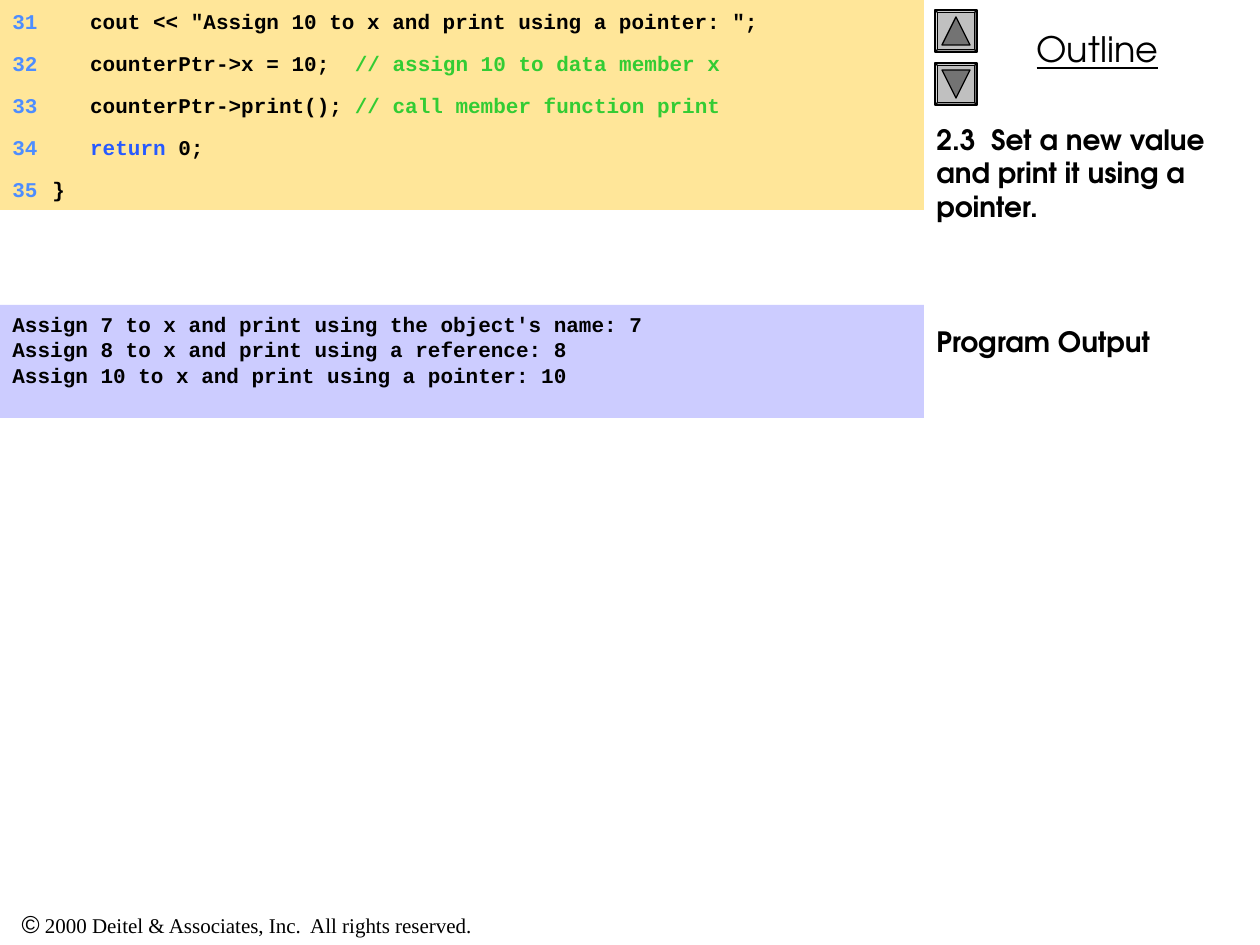
"""Build a code walkthrough slide with its program output."""
from dataclasses import dataclass
from lxml.etree import SubElement
from pptx import Presentation
from pptx.dml.color import RGBColor
from pptx.enum.shapes import MSO_SHAPE
from pptx.enum.text import MSO_ANCHOR, PP_ALIGN
from pptx.oxml.ns import qn
from pptx.util import Emu, Pt


@dataclass(frozen=True)
class Theme:
    black: str = "000000"
    number: str = "4D8DFF"
    key: str = "275AFF"
    note: str = "33CC33"
    cream: str = "FFE699"
    lilac: str = "CCCCFF"
    silver: str = "C0C0C0"
    gray: str = "737373"
    mono: str = "Courier New"
    sans: str = "TeX Gyre Adventor"
    serif: str = "Times New Roman"
    plain: str = "Arial"
    small: int = 12
    sign: int = 14
    body: int = 16
    large: int = 20


def px(count):
    return Emu(round(count * 914400 / 126))


class Deck:
    def __init__(self, theme):
        self.theme = theme
        self.file = Presentation()
        self.file.slide_width, self.file.slide_height = px(1260), px(945)
        self.slide = self.file.slides.add_slide(self.file.slide_layouts[6])

    def style(self, run, face, size, color=None, bold=False, under=False):
        font = run.font
        font.name, font.size, font.bold = face, Pt(size), bold
        font.underline = under
        font.color.rgb = RGBColor.from_string(color or self.theme.black)

    def text(self, box):
        frame = self.slide.shapes.add_textbox(*map(px, box)).text_frame
        frame.word_wrap = True
        return frame

    def shape(self, kind, box, fill, line=None):
        shape = self.slide.shapes.add_shape(kind, *map(px, box))
        shape.shadow.inherit = False
        shape.fill.solid()
        shape.fill.fore_color.rgb = RGBColor.from_string(fill)
        if line:
            shape.line.color.rgb = RGBColor.from_string(line)
            shape.line.width = Pt(0.75)
        else:
            shape.line.fill.background()
        return shape

    def panel(self, box, fill, anchor):
        frame = self.shape(MSO_SHAPE.RECTANGLE, box, fill).text_frame
        frame.word_wrap = True
        frame.vertical_anchor = anchor
        return frame

    def code(self, top, number, parts):
        frame = self.panel((0, top, 924, 42), self.theme.cream, MSO_ANCHOR.MIDDLE)
        line = frame.paragraphs[0]
        line.alignment = PP_ALIGN.LEFT
        tabs = SubElement(line._p.get_or_add_pPr(), qn("a:tabLst"))
        for place, side in ((19, "r"), (40, "l")):
            SubElement(tabs, qn("a:tab"), pos=str(px(place)), algn=side)
        for words, color in [(f"\t{number}\t", self.theme.number), *parts]:
            run = line.add_run()
            run.text = words
            self.style(run, self.theme.mono, self.theme.small, color, True)

    def output(self, box, lines):
        frame = self.panel(box, self.theme.lilac, MSO_ANCHOR.TOP)
        frame.text = "\n".join(lines)
        for line in frame.paragraphs:
            line.alignment = PP_ALIGN.LEFT
            line.line_spacing = Pt(14.5)
            self.style(line.runs[0], self.theme.mono, self.theme.small, bold=True)

    def button(self, left, top, turn):
        theme = self.theme
        bevel = self.shape(MSO_SHAPE.BEVEL, (left, top, 42, 42), theme.silver, theme.black)
        bevel.adjustments[0] = 0.06
        arrow = self.shape(MSO_SHAPE.ISOSCELES_TRIANGLE,
                           (left + 7, top + 7, 28, 28), theme.gray, theme.black)
        arrow.rotation = turn

    def outline(self, box):
        line = self.text(box).paragraphs[0]
        line.text = "Outline"
        line.alignment = PP_ALIGN.CENTER
        self.style(line.runs[0], self.theme.sans, self.theme.large, under=True)

    def topics(self, box, names, gap):
        frame = self.text(box)
        frame.text = "\n".join(names)
        for line in frame.paragraphs:
            self.style(line.runs[0], self.theme.sans, self.theme.body, bold=True)
        for line in frame.paragraphs[1:]:
            line.space_before = Pt(gap)

    def footer(self, box, parts):
        line = self.text(box).paragraphs[0]
        line.alignment = PP_ALIGN.CENTER
        for words, face, size in parts:
            run = line.add_run()
            run.text = words
            self.style(run, face, size)


def main():
    theme = Theme()
    deck = Deck(theme)
    deck.footer((0, 903, 494, 43), [
        ("©", theme.plain, theme.sign),
        (" 2000 Deitel & Associates, Inc.  All rights reserved.", theme.serif, theme.small),
    ])
    deck.outline((935, 21, 325, 55))
    for top, turn in ((10, 0), (63, 180)):
        deck.button(935, top, turn)
    deck.topics((924, 116, 336, 829), [
        "2.3  Set a new value and print it using a pointer.",
        "Program Output",
    ], 58)
    rows = [
        [('   cout << "Assign 10 to x and print using a pointer: ";', theme.black)],
        [("   counterPtr->x = 10;  ", theme.black),
         ("// assign 10 to data member x", theme.note)],
        [("   counterPtr->print();", theme.black),
         (" // call member function print", theme.note)],
        [("   return", theme.key), (" 0;", theme.black)],
        [("}", theme.black)],
    ]
    for index, parts in enumerate(rows):
        deck.code(index * 42, 31 + index, parts)
    deck.output((0, 305, 924, 113), [
        "Assign 7 to x and print using the object's name: 7",
        "Assign 8 to x and print using a reference: 8",
        "Assign 10 to x and print using a pointer: 10",
    ])
    deck.file.save("out.pptx")


if __name__ == "__main__":
    main()
